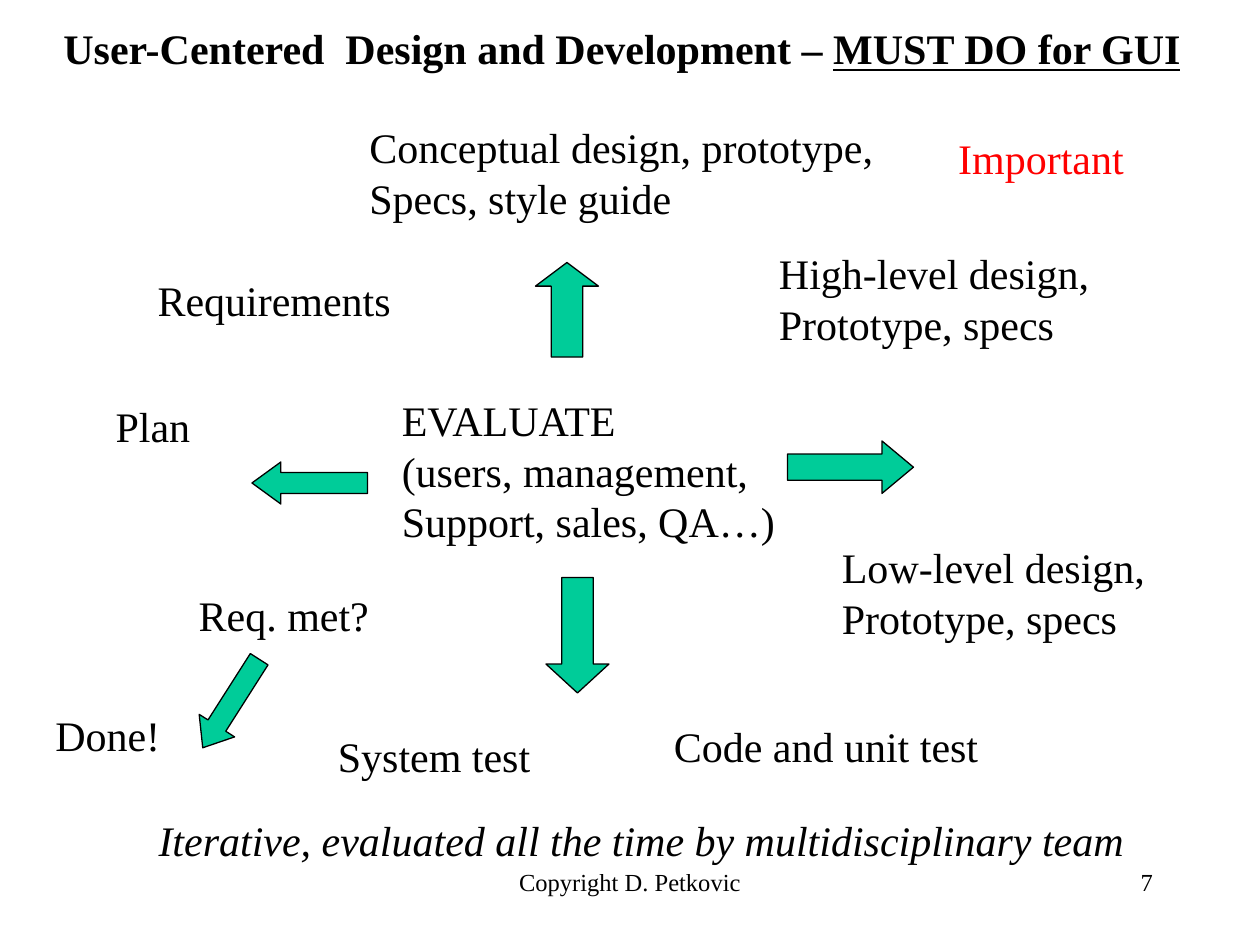
from dataclasses import dataclass

from pptx import Presentation
from pptx import util as u
from pptx.dml.color import RGBColor
from pptx.enum import shapes, text

Pt = u.Pt
Geo = shapes.MSO_SHAPE
Side = text.PP_ALIGN


@dataclass(frozen=True)
class Theme:
    font: str = "Times New Roman"
    body: int = 24
    small: int = 14
    ink: RGBColor = RGBColor(0, 0, 0)
    alert: RGBColor = RGBColor(0xFF, 0, 0)
    fill: RGBColor = RGBColor(0, 0xCC, 0x99)
    edge: float = 0.75


LOOK = Theme()

# Steps around the loop: left, top, width, lines
STEPS = [
    (59, 87.5, 149, ["Requirements"]),
    (180, 0, 304, ["Conceptual design, prototype,", "Specs, style guide"]),
    (414, 72, 193, ["High-level design,", "Prototype, specs"]),
    (450, 240, 189, ["Low-level design,", "Prototype, specs"]),
    (354, 342, 190, ["Code and unit test"]),
    (162, 348, 126, ["System test"]),
    (82.5, 267.5, 113, ["Req. met?"]),
    (35, 159.5, 59, ["Plan"]),
    (198.5, 156, 229, ["EVALUATE", "(users, management,", "Support, sales, QA…)"]),
    (0.5, 336, 76, ["Done!"]),
]

# Arrows: kind, left, top, width, height, turn
ARROWS = [
    (Geo.UP_ARROW, 282, 84, 36, 54, 0),
    (Geo.DOWN_ARROW, 288, 264, 36, 66, 0),
    (Geo.LEFT_ARROW, 120, 198, 66, 24, 0),
    (Geo.RIGHT_ARROW, 426, 186, 72, 30, 0),
    (Geo.DOWN_ARROW, 96, 306, 24, 60, 32.5),
]


def add_run(para, words, size=LOOK.body, color=LOOK.ink,
            bold=False, slant=False, under=False):
    run = para.add_run()
    run.text = words
    font = run.font
    font.name, font.size = LOOK.font, Pt(size)
    font.bold, font.italic, font.underline = bold, slant, under
    font.color.rgb = color


def set_frame(frame, wrap=False):
    frame.margin_left = frame.margin_right = Pt(7.2)
    frame.margin_top = frame.margin_bottom = Pt(3.6)
    frame.vertical_anchor = text.MSO_ANCHOR.TOP
    frame.auto_size = (text.MSO_AUTO_SIZE.NONE if wrap
                       else text.MSO_AUTO_SIZE.SHAPE_TO_FIT_TEXT)
    frame.word_wrap = wrap


def add_label(slide, x, y, w, lines, wrap=False, side=Side.LEFT, **style):
    high = 7.2 + 28.8 * len(lines)
    frame = slide.shapes.add_textbox(Pt(x), Pt(y), Pt(w), Pt(high)).text_frame
    set_frame(frame, wrap)
    for i, line in enumerate(lines):
        para = frame.add_paragraph() if i else frame.paragraphs[0]
        para.alignment = side
        add_run(para, line, **style)


def add_arrow(slide, kind, x, y, w, h, turn):
    arrow = slide.shapes.add_shape(kind, Pt(x), Pt(y), Pt(w), Pt(h))
    # The head takes a quarter of the arrow's length
    arrow.adjustments[0] = 0.5
    arrow.adjustments[1] = max(w, h) / 4 / min(w, h)
    arrow.rotation = turn
    arrow.shadow.inherit = False
    arrow.fill.solid()
    arrow.fill.fore_color.rgb = LOOK.fill
    arrow.line.color.rgb = LOOK.ink
    arrow.line.width = Pt(LOOK.edge)


def put_title(slide, x, y, w, h):
    title = slide.shapes.title
    title.left, title.top, title.width, title.height = map(Pt, (x, y, w, h))
    set_frame(title.text_frame)
    para = title.text_frame.paragraphs[0]
    para.alignment = Side.LEFT
    add_run(para, "User-Centered  Design and Development – ", bold=True)
    add_run(para, "MUST DO for GUI", bold=True, under=True)


def put_loop(slide, x, y):
    for left, top, wide, lines in STEPS:
        add_label(slide, x + left, y + top, wide, lines)
    for kind, left, top, *rest in ARROWS:
        add_arrow(slide, kind, x + left, y + top, *rest)
    # Remarks on the loop
    add_label(slide, x + 516.5, y + 6, 111, ["Important"], color=LOOK.alert)
    add_label(slide, x + 59.5, y + 396, 569,
              ["Iterative, evaluated all the time by multidisciplinary team"],
              slant=True)


def put_foot(slide, x, y, w):
    add_label(slide, x, y, 228, ["Copyright D. Petkovic"], wrap=True,
              side=Side.CENTER, size=LOOK.small)
    add_label(slide, x + w - 150, y, 150, ["7"], wrap=True,
              side=Side.RIGHT, size=LOOK.small)


def main():
    deck = Presentation()
    deck.slide_width, deck.slide_height = Pt(720), Pt(540)
    slide = deck.slides.add_slide(deck.slide_layouts[5])
    put_title(slide, 29, 9.5, 656, 36)
    put_loop(slide, 24, 66)
    put_foot(slide, 246, 492, 420)
    deck.save("out.pptx")


if __name__ == "__main__":
    main()
